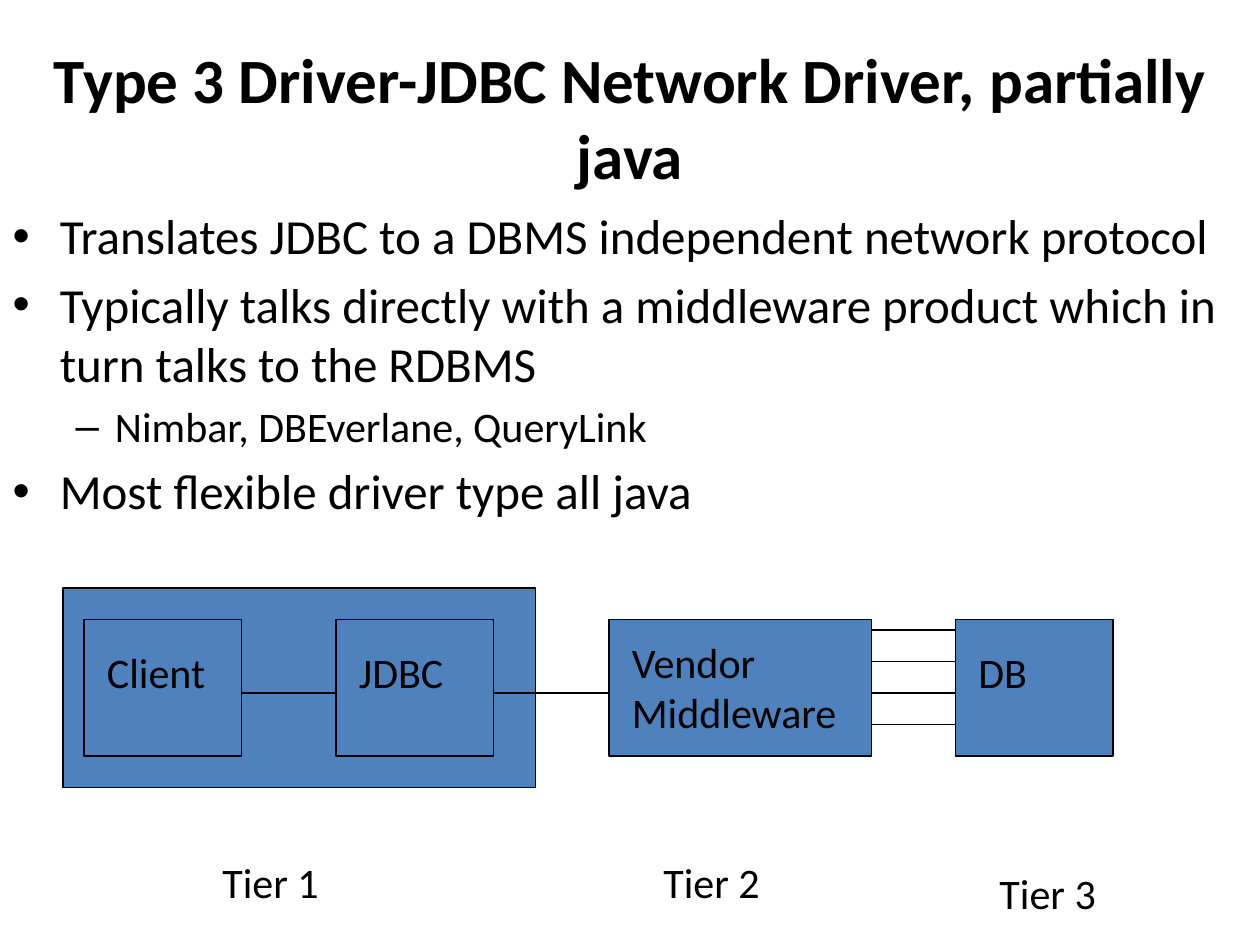
"""Builds the slide on the three-tier JDBC network driver."""
from dataclasses import dataclass

from lxml.etree import SubElement
from pptx import Presentation
from pptx.dml.color import RGBColor
from pptx.enum.shapes import MSO_CONNECTOR, MSO_SHAPE
from pptx.enum.text import MSO_AUTO_SIZE, PP_ALIGN
from pptx.oxml.ns import qn
from pptx.slide import Slide
from pptx.util import Pt

COLORS = {"ink": "000000", "box": "4F81BD"}


@dataclass
class TierSlide:
    """Style and drawing methods for the current slide."""

    slide: Slide
    font_name: str = "Calibri"
    label_size: float = 24
    line_width: float = 1

    def color(self, name):
        return RGBColor.from_string(COLORS[name])

    def style(self, paragraph, size, bold=None):
        paragraph.font.name = self.font_name
        paragraph.font.size = Pt(size)
        paragraph.font.bold = bold
        paragraph.font.color.rgb = self.color("ink")

    def outline(self, line):
        line.color.rgb = self.color("ink")
        line.width = Pt(self.line_width)

    def place(self, shape, left, top, width, height):
        shape.left, shape.top = Pt(left), Pt(top)
        shape.width, shape.height = Pt(width), Pt(height)
        shape.text_frame.auto_size = MSO_AUTO_SIZE.NONE

    def title(self, text, *bounds):
        heading = self.slide.shapes.title
        self.place(heading, *bounds)
        heading.text_frame.text = text
        paragraph = heading.text_frame.paragraphs[0]
        paragraph.alignment = PP_ALIGN.CENTER
        self.style(paragraph, 36, bold=True)

    def bullets(self, items, *bounds):
        body = self.slide.placeholders[1]
        self.place(body, *bounds)
        body.text_frame.text = "\n".join(text for _, text in items)
        for paragraph, (level, _) in zip(body.text_frame.paragraphs, items):
            paragraph.level = level
            self.style(paragraph, 24 if level else 28)

    def box(self, left, top, width, height):
        rectangle = self.slide.shapes.add_shape(
            MSO_SHAPE.RECTANGLE, Pt(left), Pt(top), Pt(width), Pt(height))
        rectangle.shadow.inherit = False
        rectangle.fill.solid()
        rectangle.fill.fore_color.rgb = self.color("box")
        self.outline(rectangle.line)

    def label(self, text, left, top, width, height=36):
        caption = self.slide.shapes.add_textbox(
            Pt(left), Pt(top), Pt(width), Pt(height))
        caption.text_frame.word_wrap = True
        caption.text_frame.text = text
        self.style(caption.text_frame.paragraphs[0], self.label_size)

    def link(self, start, end, y):
        wire = self.slide.shapes.add_connector(
            MSO_CONNECTOR.STRAIGHT, Pt(start), Pt(y), Pt(end), Pt(y))
        self.outline(wire.line)
        SubElement(wire._element.spPr, qn("a:effectLst"))


def main():
    deck = Presentation()
    deck.slide_width, deck.slide_height = Pt(720), Pt(540)
    tiers = TierSlide(deck.slides.add_slide(deck.slide_layouts[1]))

    tiers.title("Type 3 Driver-JDBC Network Driver, partially java",
                0, 21.6, 720, 90)
    tiers.bullets([
        (0, "Translates JDBC to a DBMS independent network protocol"),
        (0, "Typically talks directly with a middleware product "
            "which in turn talks to the RDBMS"),
        (1, "Nimbar, DBEverlane, QueryLink"),
        (0, "Most flexible driver type all java"),
    ], 0, 114, 720, 356)

    tiers.box(36, 336, 270, 114)
    box_top, box_height = 354, 78
    components = [
        ("Client", 48, 90, 12, 96, 36),
        ("JDBC", 192, 90, 12, 96, 36),
        ("Vendor Middleware", 348, 150, 6, 138, 65),
        ("DB", 546, 90, 12, 96, 36),
    ]
    for name, left, width, drop, label_width, label_height in components:
        tiers.box(left, box_top, width, box_height)
        tiers.label(name, left + 6, box_top + drop, label_width, label_height)

    main_wire = 396
    for (_, left, width, *_), (_, next_left, *_) in zip(components, components[1:]):
        tiers.link(left + width, next_left, main_wire)
    for extra_wire in (360, 378, 414):
        tiers.link(498, 546, extra_wire)

    for name, left, top, width in [("Tier 1", 120, 486, 84),
                                   ("Tier 2", 372, 486, 78),
                                   ("Tier 3", 564, 492, 84)]:
        tiers.label(name, left, top, width)

    deck.save("out.pptx")


if __name__ == "__main__":
    main()
